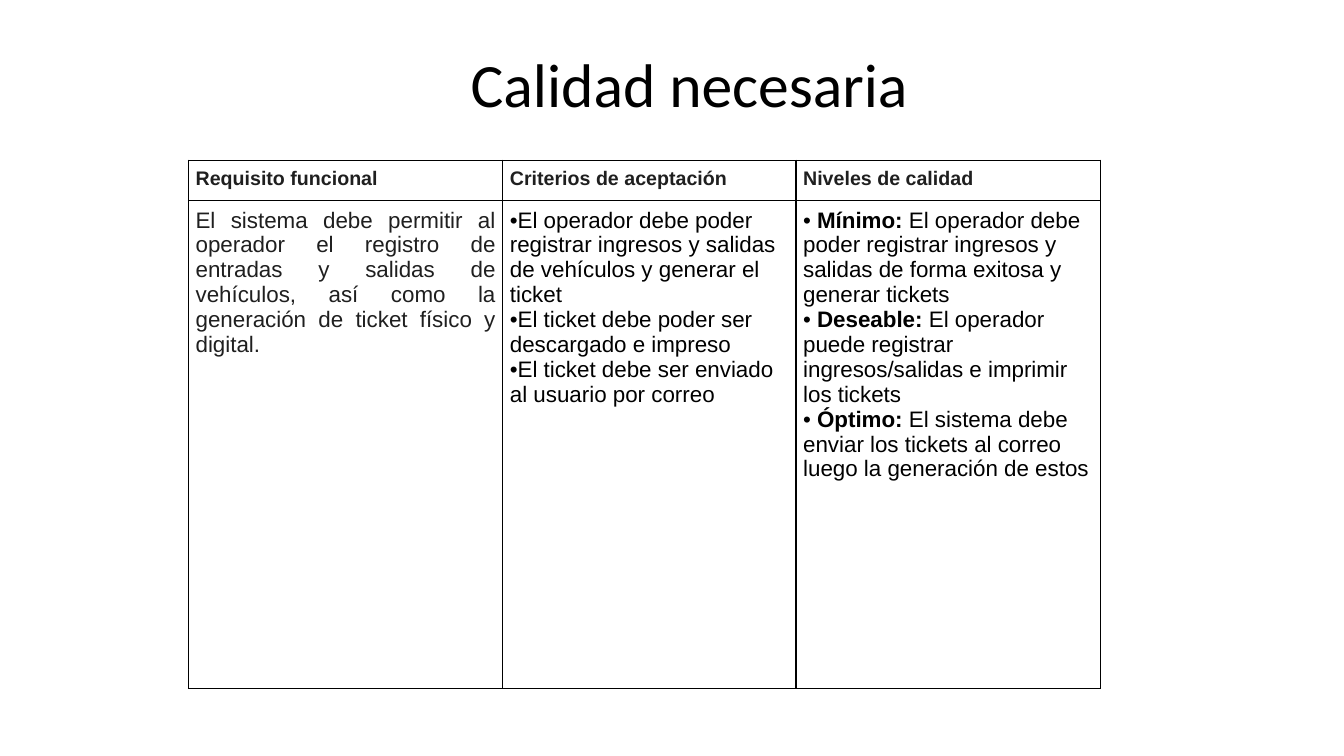
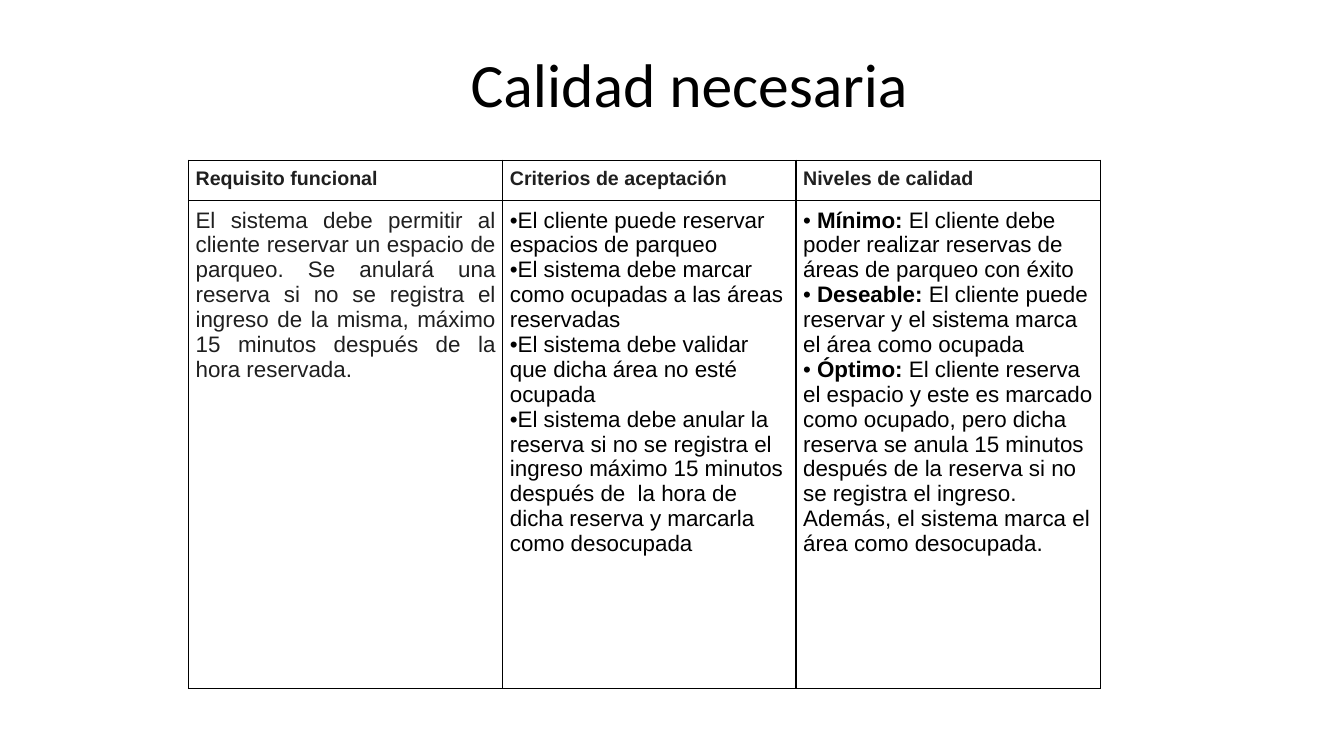
import lxml.etree
import pptx
import pptx.dml.color
import pptx.enum.text
import pptx.oxml.ns
import pptx.util

Cm = pptx.util.Cm
Pt = pptx.util.Pt
qn = pptx.oxml.ns.qn
ALIGN = pptx.enum.text.PP_ALIGN
ANCHOR = pptx.enum.text.MSO_ANCHOR

TITLE = "Calidad necesaria"
HEADINGS = ["Requisito funcional", "Criterios de aceptación", "Niveles de calidad"]
LEVELS = ["Mínimo", "Deseable", "Óptimo"]
REQUIREMENTS = [
    {
        "requirement": "El sistema debe permitir al operador el registro de entradas y salidas "
                       "de vehículos, así como la generación de ticket físico y digital.",
        "criteria": [
            "El operador debe poder registrar ingresos y salidas de vehículos y generar el ticket",
            "El ticket debe poder ser descargado e impreso",
            "El ticket debe ser enviado al usuario por correo",
        ],
        "levels": [
            "El operador debe poder registrar ingresos y salidas de forma exitosa y generar tickets",
            "El operador puede registrar ingresos/salidas e imprimir los tickets",
            "El sistema debe enviar los tickets al correo luego la generación de estos",
        ],
    },
    {
        "requirement": "El sistema debe permitir al cliente reservar un espacio de parqueo. "
                       "Se anulará una reserva si no se registra el ingreso de la misma, "
                       "máximo 15 minutos después de la hora reservada.",
        "criteria": [
            "El cliente puede reservar espacios de parqueo",
            "El sistema debe marcar como ocupadas a las áreas reservadas",
            "El sistema debe validar que dicha área no esté ocupada",
            "El sistema debe anular la reserva si no se registra el ingreso máximo 15 minutos "
            "después de  la hora de dicha reserva y marcarla como desocupada",
        ],
        "levels": [
            "El cliente debe poder realizar reservas de áreas de parqueo con éxito",
            "El cliente puede reservar y el sistema marca el área como ocupada",
            "El cliente reserva el espacio y este es marcado como ocupado, pero dicha reserva "
            "se anula 15 minutos después de la reserva si no se registra el ingreso. "
            "Además, el sistema marca el área como desocupada.",
        ],
    },
]


class Deck:
    """Hold the shared style and the current slide of the presentation."""

    colors = {"text": "000000", "muted": "1F1F1F", "border": "000000"}
    title_font = "Calibri"
    body_font = "Arial"
    column_widths = [7.92, 7.39, 7.67]
    row_heights = [1.02, 12.29]
    cell_margin = Cm(0.18)

    def __init__(self):
        self.presentation = pptx.Presentation()
        self.presentation.slide_width = Cm(33.87)
        self.presentation.slide_height = Cm(19.05)
        self.slide = None

    def add_slide(self):
        self.slide = self.presentation.slides.add_slide(self.presentation.slide_layouts[6])

    def style_run(self, run, size, color, bold=False, font=body_font):
        run.font.name = font
        run.font.size = Pt(size)
        run.font.bold = bold
        run.font.color.rgb = pptx.dml.color.RGBColor.from_string(self.colors[color])

    def add_title(self, text):
        shape = self.slide.shapes.add_textbox(Cm(2.77), Cm(0.36), Cm(29.21), Cm(3.68))
        text_frame = shape.text_frame
        text_frame.word_wrap = True
        text_frame.vertical_anchor = ANCHOR.MIDDLE
        text_frame.text = text
        paragraph = text_frame.paragraphs[0]
        paragraph.alignment = ALIGN.CENTER
        paragraph.line_spacing = 0.9
        self.style_run(paragraph.runs[0], 44, "text", font=self.title_font)

    def add_table(self):
        shape = self.slide.shapes.add_table(
            len(self.row_heights), len(self.column_widths), Cm(4.75), Cm(4.04),
            Cm(sum(self.column_widths)), Cm(sum(self.row_heights)))
        table = shape.table
        table.first_row = False
        table.horz_banding = False
        for column, width in zip(table.columns, self.column_widths):
            column.width = Cm(width)
        for row, height in zip(table.rows, self.row_heights):
            row.height = Cm(height)
        for cell in table.iter_cells():
            self.frame_cell(cell)
        return table

    def frame_cell(self, cell):
        cell.margin_left = cell.margin_right = self.cell_margin
        cell.margin_top = cell.margin_bottom = self.cell_margin
        properties = cell._tc.get_or_add_tcPr()
        for side in ("a:lnL", "a:lnR", "a:lnT", "a:lnB"):
            line = lxml.etree.SubElement(properties, qn(side), w=str(Pt(1)))
            fill = lxml.etree.SubElement(line, qn("a:solidFill"))
            lxml.etree.SubElement(fill, qn("a:srgbClr"), val=self.colors["border"])
        cell.fill.background()

    def write_text(self, cell, text, size, bold=False, alignment=ALIGN.LEFT):
        cell.text_frame.text = text
        paragraph = cell.text_frame.paragraphs[0]
        paragraph.alignment = alignment
        self.style_run(paragraph.runs[0], size, "muted", bold)

    def write_bullets(self, cell, items, labels=None):
        text_frame = cell.text_frame
        for index, item in enumerate(items):
            paragraph = text_frame.add_paragraph() if index else text_frame.paragraphs[0]
            properties = paragraph._p.get_or_add_pPr()
            properties.set("marL", "0")
            properties.set("indent", "0")
            lxml.etree.SubElement(properties, qn("a:buFont"), typeface=self.body_font)
            lxml.etree.SubElement(properties, qn("a:buChar"), char="•")
            if labels:
                label = paragraph.add_run()
                label.text = f" {labels[index]}: "
                self.style_run(label, 16, "text", bold=True)
            run = paragraph.add_run()
            run.text = item
            self.style_run(run, 16, "text")

    def save(self):
        self.presentation.save("out.pptx")


def main():
    deck = Deck()
    for content in REQUIREMENTS:
        deck.add_slide()
        deck.add_title(TITLE)
        table = deck.add_table()
        for column, heading in enumerate(HEADINGS):
            deck.write_text(table.cell(0, column), heading, 14, bold=True)
        deck.write_text(table.cell(1, 0), content["requirement"], 16, alignment=ALIGN.JUSTIFY)
        deck.write_bullets(table.cell(1, 1), content["criteria"])
        deck.write_bullets(table.cell(1, 2), content["levels"], LEVELS)
    deck.save()


if __name__ == "__main__":
    main()
